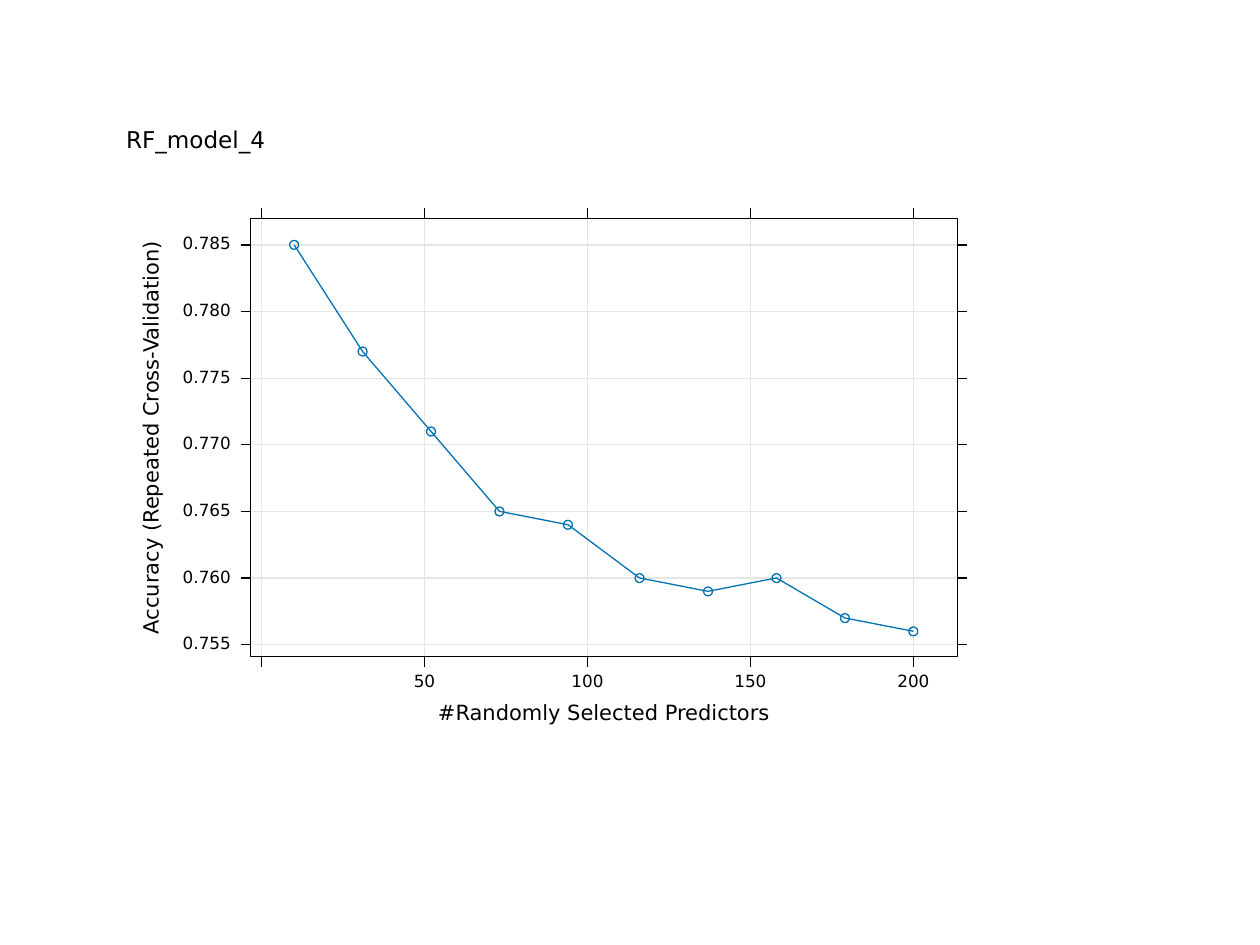
"""Build the RF_model_4 tuning slide: accuracy against predictors tried."""
from lxml import etree
from pptx import Presentation, oxml
from pptx import util as u
from pptx.chart import data as cd
from pptx.dml.color import RGBColor
from pptx.enum import chart as ce, shapes, text
from pptx.oxml import ns

BLACK = RGBColor(0, 0, 0)
GREY = RGBColor(0xE5, 0xE5, 0xE5)
BLUE = RGBColor(0x00, 0x72, 0xB2)
FONT = "DejaVu Sans"
THIN = u.Pt(0.75)

left, top, wide, high = 5.05, 4.4, 14.25, 8.84
right, base = left + wide, top + high
xmin, xmax = -3.4, 213.5
ymin, ymax = 0.7541, 0.787
tick, dot = 0.2, 0.18
tries = [10, 31, 52, 73, 94, 116, 137, 158, 179, 200]
scores = [0.785, 0.777, 0.771, 0.765, 0.764, 0.76, 0.759, 0.76, 0.757, 0.756]

deck = Presentation()
deck.slide_width, deck.slide_height = u.Cm(25.4), u.Cm(19.05)
slide = deck.slides.add_slide(deck.slide_layouts[5])
items = slide.shapes


def write(box, words, size, align=text.PP_ALIGN.CENTER):
    frame = box.text_frame
    frame.margin_left = frame.margin_right = 0
    frame.margin_top = frame.margin_bottom = 0
    frame.word_wrap = False
    frame.auto_size = text.MSO_AUTO_SIZE.NONE
    frame.vertical_anchor = text.MSO_ANCHOR.MIDDLE
    para = frame.paragraphs[0]
    para.alignment = align
    para.line_spacing = u.Pt(size)
    run = para.add_run()
    run.text = words
    run.font.size = u.Pt(size)
    run.font.name = FONT
    run.font.color.rgb = BLACK


def rule(x1, y1, x2, y2, tone):
    line = items.add_connector(shapes.MSO_CONNECTOR.STRAIGHT,
                               u.Cm(x1), u.Cm(y1), u.Cm(x2), u.Cm(y2))
    line.line.color.rgb = tone
    line.line.width = THIN
    etree.SubElement(line._element.spPr, ns.qn("a:effectLst"))


title = items.title
title.left, title.top = u.Cm(2.54), u.Cm(2.62)
title.width, title.height = u.Cm(3.2), u.Cm(0.46)
write(title, "RF_model_4", 13.2, text.PP_ALIGN.LEFT)

labels = [("#Randomly Selected Predictors", left + wide / 2, 14.4, 6.7, 0.4, 12, 0),
          ("Accuracy (Repeated Cross-Validation)", 3.07, top + high / 2,
           8.03, 0.4, 12, 270)]

for val in range(0, 201, 50):
    x = left + wide * (val - xmin) / (xmax - xmin)
    rule(x, top, x, base, GREY)
    rule(x, top - tick, x, top, BLACK)
    rule(x, base, x, base + tick, BLACK)
    if val:
        labels.append((str(val), x, 13.75, 0.64, 0.26, 9.6, 0))

for step in range(7):
    val = 0.755 + 0.005 * step
    y = base - high * (val - ymin) / (ymax - ymin)
    rule(left, y, right, y, GREY)
    rule(left - tick, y, left, y, BLACK)
    rule(right, y, right + tick, y, BLACK)
    labels.append((f"{val:.3f}", 4.17, y, 0.97, 0.26, 9.6, 0))

for words, x, y, w, h, size, turn in labels:
    box = items.add_textbox(u.Cm(x - w / 2), u.Cm(y - h / 2), u.Cm(w), u.Cm(h))
    box.rotation = turn
    write(box, words, size)

data = cd.XyChartData()
series = data.add_series("Accuracy")
for x, y in zip(tries, scores):
    series.add_data_point(x, y)
chart = items.add_chart(ce.XL_CHART_TYPE.XY_SCATTER_LINES_NO_MARKERS, u.Cm(left),
                        u.Cm(top), u.Cm(wide), u.Cm(high), data).chart
chart.has_title = chart.has_legend = False
chart.font.name, chart.font.size = FONT, u.Pt(9.6)
chart.font.color.rgb = BLACK
for axis, low, peak, unit in ((chart.category_axis, xmin, xmax, 50),
                              (chart.value_axis, ymin, ymax, 0.005)):
    axis.minimum_scale, axis.maximum_scale = low, peak
    axis.major_unit = unit
    axis.has_major_gridlines = False
    axis.visible = False
plot = chart.plots[0]
plot.vary_by_categories = False
curve = plot.series[0]
curve.smooth = False
curve.marker.style = ce.XL_MARKER_STYLE.NONE
curve.format.line.color.rgb = BLUE
curve.format.line.width = THIN

root = chart._chartSpace
area = root.find(".//" + ns.qn("c:plotArea"))
for old in area.findall(ns.qn("c:layout")):
    area.remove(old)
area.insert(0, oxml.parse_xml(
    f'<c:layout {ns.nsdecls("c")}><c:manualLayout><c:layoutTarget val="inner"/>'
    '<c:xMode val="edge"/><c:yMode val="edge"/><c:x val="0"/><c:y val="0"/>'
    '<c:w val="1"/><c:h val="1"/></c:manualLayout></c:layout>'))
clear = (f'<c:spPr {ns.nsdecls("c", "a")}><a:noFill/>'
         '<a:ln><a:noFill/></a:ln></c:spPr>')
area.append(oxml.parse_xml(clear))
root.find(ns.qn("c:chart")).addnext(oxml.parse_xml(clear))

kind = shapes.MSO_SHAPE
marks = [(kind.RECTANGLE, left, top, wide, high, BLACK)]
for val, score in zip(tries, scores):
    x = left + wide * (val - xmin) / (xmax - xmin)
    y = base - high * (score - ymin) / (ymax - ymin)
    marks.append((kind.OVAL, x - dot / 2, y - dot / 2, dot, dot, BLUE))
for form, x, y, w, h, tone in marks:
    mark = items.add_shape(form, u.Cm(x), u.Cm(y), u.Cm(w), u.Cm(h))
    mark.shadow.inherit = False
    mark.fill.background()
    mark.line.color.rgb = tone
    mark.line.width = THIN

deck.save("out.pptx")
